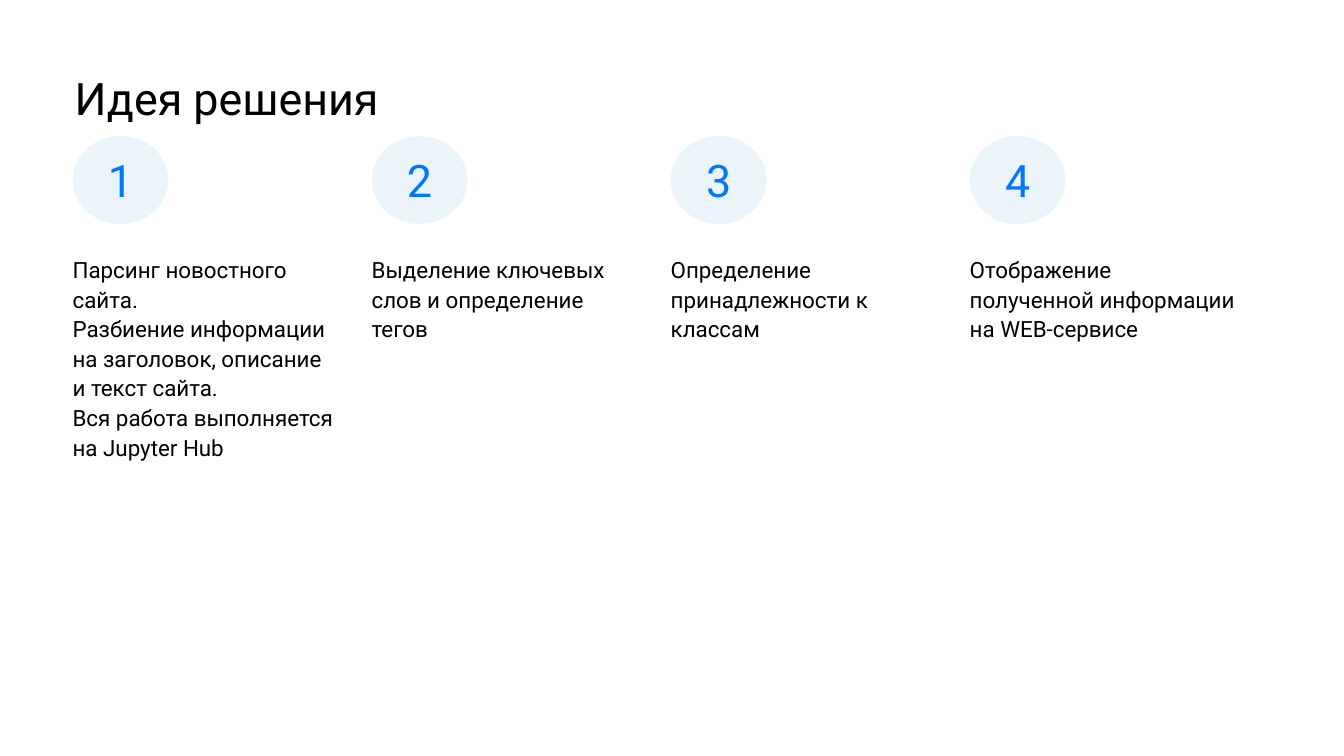
from pptx import Presentation
from pptx.dml.color import RGBColor
from pptx.enum.shapes import MSO_SHAPE as SHAPE
from pptx.enum.text import MSO_ANCHOR as ANCHOR, PP_ALIGN as ALIGN
from pptx.util import Pt

STEPS = [
    ["Парсинг новостного сайта.",
     "Разбиение информации на заголовок, описание и текст сайта.",
     "Вся работа выполняется на Jupyter Hub"],
    ["Выделение ключевых слов и определение тегов"],
    ["Определение принадлежности к классам"],
    ["Отображение полученной информации на WEB-сервисе"],
]
STEP_PITCH = 213.6


def rgb(value):
    return RGBColor.from_string(value)


def set_text(sp, lines, size, color="000000", spacing=1.0,
             align=ALIGN.LEFT, anchor=ANCHOR.TOP, insets=(0, 0, 0, 0)):
    tf = sp.text_frame
    tf.word_wrap = True
    tf.vertical_anchor = anchor
    tf.margin_left, tf.margin_top, tf.margin_right, tf.margin_bottom = map(Pt, insets)
    tf.text = "\n".join(lines)
    for p in tf.paragraphs:
        p.alignment = align
        p.line_spacing = spacing
        p.font.name = "Roboto"
        p.font.size = Pt(size)
        p.font.color.rgb = rgb(color)


def add_title(s, x, y, w, h):
    sp = s.shapes.add_textbox(Pt(x), Pt(y), Pt(w), Pt(h))
    set_text(sp, ["Идея решения"], 32, spacing=0.9)


def add_step(s, x, y, w, h, number, lines):
    badge = s.shapes.add_shape(SHAPE.OVAL, Pt(x), Pt(y), Pt(68.4), Pt(62.8))
    badge.shadow.inherit = False
    badge.fill.solid()
    badge.fill.fore_color.rgb = rgb("EBF4F9")
    badge.line.fill.background()
    set_text(badge, [str(number)], 32, "0077FF", align=ALIGN.CENTER,
             anchor=ANCHOR.MIDDLE, insets=(7.2, 3.6, 7.2, 3.6))
    text_drop = 80.6
    sp = s.shapes.add_textbox(Pt(x), Pt(y + text_drop), Pt(w), Pt(h - text_drop))
    set_text(sp, lines, 16, spacing=1.1, insets=(0, 3.6, 7.2, 3.6))


def main():
    prs = Presentation()
    prs.slide_width, prs.slide_height = Pt(960), Pt(540)
    s = prs.slides.add_slide(prs.slide_layouts[6])
    add_title(s, 53.3, 54.7, 856, 85)
    for i, lines in enumerate(STEPS):
        add_step(s, 51.9 + i * STEP_PITCH, 97.2, 197.3, 239, i + 1, lines)
    prs.save("out.pptx")


if __name__ == "__main__":
    main()
